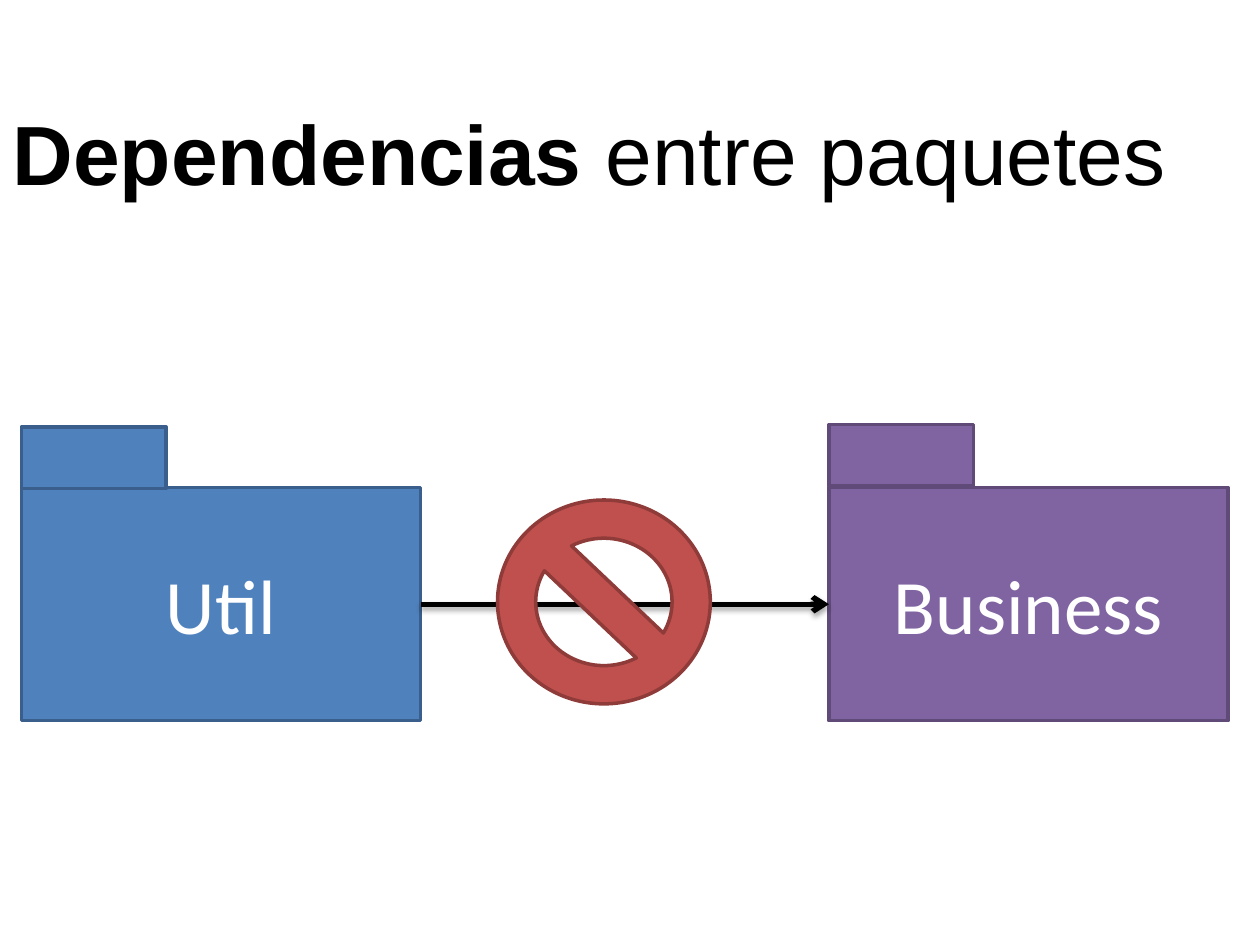
from lxml import etree
from pptx import Presentation
from pptx import util as u
from pptx.dml.color import RGBColor
from pptx.enum import shapes, text
from pptx.oxml import parse_xml
from pptx.oxml.ns import nsdecls, qn

BODY_TOP, BODY_W, BODY_H = 9.83, 8.05, 4.7
TAB_W, TAB_H = 2.92, 1.24


def rgb(value):
    return RGBColor.from_string(value)


def add_run(p, content, font, size, color, bold=False):
    r = p.add_run()
    r.text = content
    r.font.name = font
    r.font.size = u.Pt(size)
    r.font.bold = bold
    r.font.color.rgb = rgb(color)


def add_title(s):
    sp = s.shapes.title
    sp.left, sp.top, sp.width, sp.height = u.Cm(0), u.Cm(0.63), u.Cm(24.56), u.Cm(4.88)
    tf = sp.text_frame
    tf.word_wrap = True
    tf.auto_size = text.MSO_AUTO_SIZE.NONE
    tf.vertical_anchor = text.MSO_ANCHOR.MIDDLE
    p = tf.paragraphs[0]
    p.alignment = text.PP_ALIGN.LEFT
    add_run(p, "Dependencias", "Arial", 48, "000000", True)
    add_run(p, " entre paquetes", "Arial", 48, "000000")


def add_preset(parent, kind, box, fill, line):
    sp = parent.shapes.add_shape(kind, *(u.Cm(v) for v in box))
    sp.shadow.inherit = False
    sp.fill.solid()
    sp.fill.fore_color.rgb = rgb(fill)
    sp.line.color.rgb = rgb(line)
    sp.line.width = u.Pt(2)
    return sp


def add_package(s, name, left, tab_top, fill, line):
    group = s.shapes.add_group_shape()
    rect = shapes.MSO_SHAPE.RECTANGLE
    body = add_preset(group, rect, (left, BODY_TOP, BODY_W, BODY_H), fill, line)
    add_preset(group, rect, (left, tab_top, TAB_W, TAB_H), fill, line)
    tf = body.text_frame
    tf.vertical_anchor = text.MSO_ANCHOR.MIDDLE
    p = tf.paragraphs[0]
    p.alignment = text.PP_ALIGN.CENTER
    add_run(p, name, "Calibri", 44, "FFFFFF")
    return body


def add_arrow(s, source, target):
    middle = source.top + source.height // 2
    cxn = s.shapes.add_connector(
        shapes.MSO_CONNECTOR.STRAIGHT, source.left + source.width, middle, target.left, middle)
    cxn.begin_connect(source, 3)
    cxn.end_connect(target, 1)
    cxn.line.color.rgb = rgb("000000")
    cxn.line.width = u.Pt(3)
    etree.SubElement(cxn.line._get_or_add_ln(), qn("a:tailEnd"), type="arrow")
    cxn._element.spPr.append(parse_xml(
        f'<a:effectLst {nsdecls("a")}>'
        '<a:outerShdw blurRad="40000" dist="23000" dir="5400000" rotWithShape="0">'
        '<a:srgbClr val="000000"><a:alpha val="35000"/></a:srgbClr>'
        '</a:outerShdw></a:effectLst>'))


def main():
    prs = Presentation()
    prs.slide_width, prs.slide_height = u.Cm(25.4), u.Cm(19.05)
    s = prs.slides.add_slide(prs.slide_layouts[5])
    add_title(s)
    util = add_package(s, "Util", 0.43, 8.61, "4F81BD", "3A5F8C")
    business = add_package(s, "Business", 16.71, 8.56, "8064A2", "5F4A78")
    add_arrow(s, util, business)
    add_preset(s, shapes.MSO_SHAPE.NO_SYMBOL, (10.03, 10.08, 4.29, 4.11), "C0504D", "8E3B39")
    prs.save("out.pptx")


if __name__ == "__main__":
    main()
